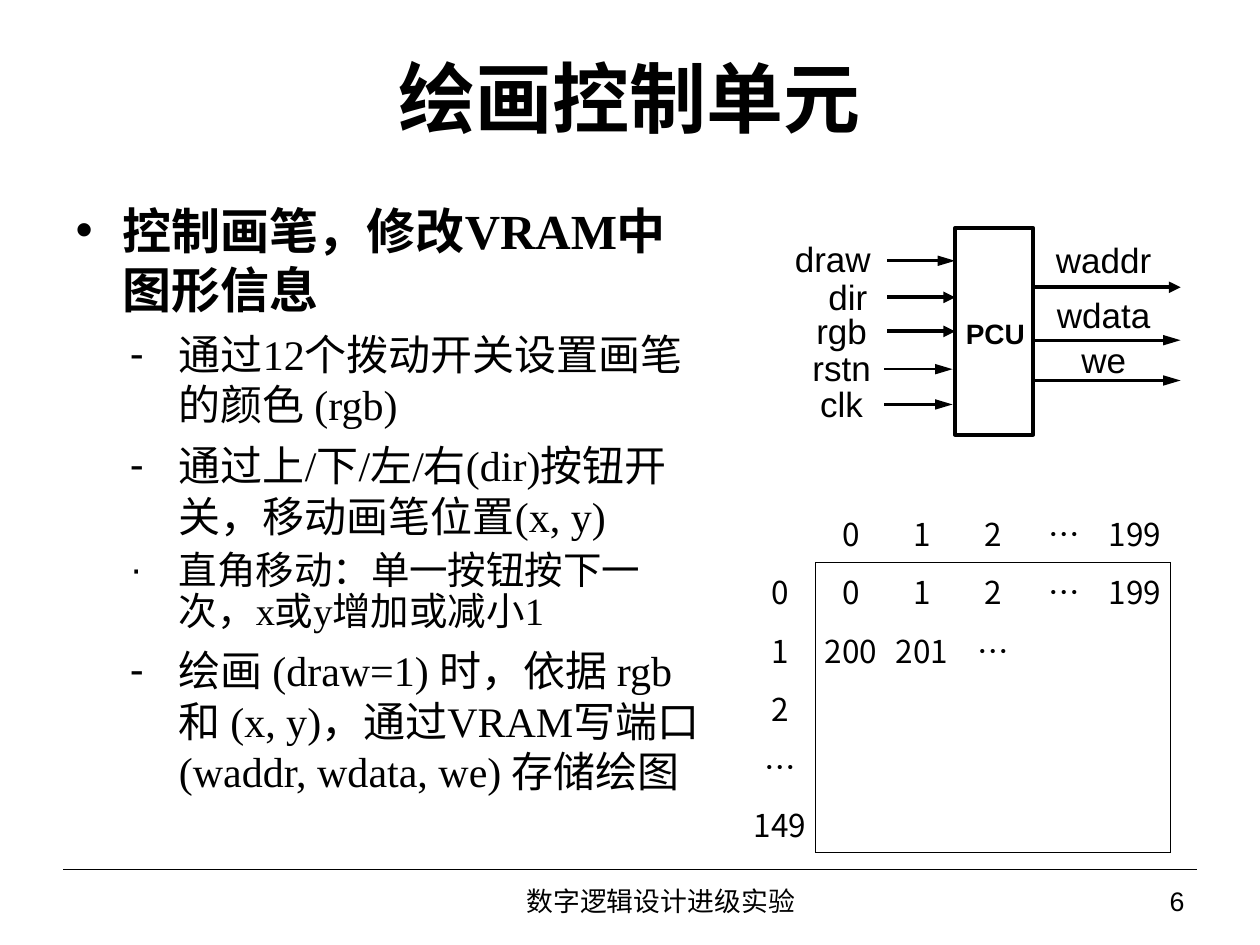
from lxml import etree
from pptx import Presentation
from pptx.dml.color import RGBColor
from pptx.enum.shapes import MSO_CONNECTOR, MSO_SHAPE
from pptx.enum.text import MSO_ANCHOR, MSO_AUTO_SIZE, PP_ALIGN
from pptx.oxml.ns import qn
from pptx.util import Inches, Pt

STRAIGHT = MSO_CONNECTOR.STRAIGHT
RECTANGLE = MSO_SHAPE.RECTANGLE
TOP, MIDDLE = MSO_ANCHOR.TOP, MSO_ANCHOR.MIDDLE
CENTER, LEFT, RIGHT = PP_ALIGN.CENTER, PP_ALIGN.LEFT, PP_ALIGN.RIGHT
NO_AUTOFIT = MSO_AUTO_SIZE.NONE
BLACK = RGBColor(0, 0, 0)
WHITE = RGBColor(255, 255, 255)
SERIF, SANS, CJK, ROBOTO = "Times New Roman", "Arial", "Noto Sans CJK SC", "Roboto"

BULLETS = [
    (0, "•", 1, [("控制画笔，修改VRAM中图形信息", SERIF, 28, True)]),
    (1, "-", 1, [("通过12个拨动开关设置画笔的颜色 (rgb)", SERIF, 24, False)]),
    (1, "-", 1, [("通过上/下/左/右(dir)按钮开关，移动画笔位置(x, y)", SERIF, 24, False)]),
    (1, "·", 0.9, [("直角移动：", ROBOTO, 22, False),
                   ("单一按钮按下一次，x或y增加或减小1", SERIF, 22, False)]),
    (1, "-", 1, [("绘画 (draw=1) 时，依据 rgb 和 (x, y)，通过VRAM写端口"
                  "(waddr, wdata, we) 存储绘图", SERIF, 24, False)]),
]
INDENTS = [(0.37, -0.37), (0.82, -0.39)]

INPUTS = [
    ("draw", 6.61, 2.05, 7.04, 2.07, 1.5),
    ("dir", 6.73, 2.35, 7.04, 2.36, 2.25),
    ("rgb", 6.68, 2.62, 7.04, 2.63, 2.25),
    ("rstn", 6.68, 2.92, 7.02, 2.93, 1.5),
    ("clk", 6.68, 3.2, 7.02, 3.21, 1.5),
]
OUTPUTS = [
    ("waddr", 8.76, 2.06, 2.28, 2.25),
    ("wdata", 8.76, 2.5, 2.7, 1.5),
    ("we", 8.76, 2.85, 3.02, 1.5),
]
MEMORY_ROWS = [
    ["", "0", "1", "2", "…", "199"],
    ["0", "0", "1", "2", "…", "199"],
    ["1", "200", "201", "…", "", ""],
    ["2"],
    ["…"],
    ["149"],
]


def apply_format(target, values):
    for name, value in values.items():
        setattr(target, name, value)


def add_run(paragraph, text, font_name, size, bold=False):
    run = paragraph.add_run()
    run.text = text
    apply_format(run.font, {"name": font_name, "size": Pt(size), "bold": bold})
    run.font.color.rgb = BLACK


def place(shape, box):
    names = ("left", "top", "width", "height")
    apply_format(shape, dict(zip(names, map(Inches, box))))


def add_text(shapes, box, text, size, align=CENTER, bold=False, wrap=False,
             margins=(0, 0), line_spacing=1):
    frame = shapes.add_textbox(*map(Inches, box)).text_frame
    side, edge = map(Inches, margins)
    apply_format(frame, {
        "word_wrap": wrap, "vertical_anchor": MIDDLE,
        "margin_left": side, "margin_right": side,
        "margin_top": edge, "margin_bottom": edge,
    })
    paragraph = frame.paragraphs[0]
    apply_format(paragraph, {"alignment": align, "line_spacing": line_spacing})
    add_run(paragraph, text, SANS, size, bold)


def add_label(shapes, center, middle, text):
    add_text(shapes, (center - 0.38, middle - 0.17, 0.76, 0.34), text, 20)


def add_line(shapes, start, end, width, arrow=False):
    line = shapes.add_connector(STRAIGHT, *map(Inches, start + end))
    line.line.color.rgb = BLACK
    line.line.width = Pt(width)
    if arrow:
        length = "med" if width > 2 else "lg"
        etree.SubElement(line.line._get_or_add_ln(), qn("a:tailEnd"),
                         type="triangle", w="med", len=length)
    etree.SubElement(line._element.spPr, qn("a:effectLst"))
    return line


def fill_title(slide, box):
    title = slide.shapes.title
    place(title, box)
    title.text_frame.auto_size = NO_AUTOFIT
    title.text_frame.vertical_anchor = MIDDLE
    paragraph = title.text_frame.paragraphs[0]
    paragraph.alignment = CENTER
    add_run(paragraph, "绘画控制单元", SERIF, 44, True)


def fill_body(slide, box):
    body = slide.placeholders[1]
    place(body, box)
    frame = body.text_frame
    apply_format(frame, {"auto_size": NO_AUTOFIT, "word_wrap": True, "vertical_anchor": TOP})
    for index, (level, bullet, spacing, runs) in enumerate(BULLETS):
        paragraph = frame.add_paragraph() if index else frame.paragraphs[0]
        apply_format(paragraph, {
            "level": level, "alignment": LEFT, "line_spacing": spacing,
            "space_before": Pt(0), "space_after": Pt(6),
        })
        properties = paragraph._p.get_or_add_pPr()
        properties.set("hangingPunct", "0")
        for name, value in zip(("marL", "indent"), INDENTS[level]):
            properties.set(name, str(Inches(value)))
        color = etree.SubElement(properties, qn("a:buClr"))
        etree.SubElement(color, qn("a:srgbClr"), val=str(BLACK))
        etree.SubElement(properties, qn("a:buChar"), char=bullet)
        for run in runs:
            add_run(paragraph, *run)


def add_footer(slide, left, top, width):
    shapes = slide.shapes
    add_line(shapes, (left, top), (left + width, top), 0.75)
    style = {"wrap": True, "margins": (0.1, 0.05), "line_spacing": 0.9}
    add_text(shapes, (left + 2.33, top + 0.08, 4.83, 0.37), "数字逻辑设计进级实验", 15.3, **style)
    add_text(shapes, (left + width - 1.75, top + 0.08, 1.75, 0.37), "6", 15.3, RIGHT, **style)


def set_border(properties, index, side, visible):
    border = etree.Element(qn("a:ln" + side), w=str(Pt(0.45)))
    if visible:
        fill = etree.SubElement(border, qn("a:solidFill"))
        etree.SubElement(fill, qn("a:srgbClr"), val=str(BLACK))
    else:
        etree.SubElement(border, qn("a:noFill"))
    properties.insert(index, border)


def add_memory_table(slide, box):
    count = len(MEMORY_ROWS)
    table = slide.shapes.add_table(count, count, *map(Inches, box)).table
    apply_format(table, {"first_row": False, "horz_banding": False})
    last = count - 1
    for row in range(count):
        for column in range(count):
            cell = table.cell(row, column)
            apply_format(cell, {
                "vertical_anchor": MIDDLE,
                "margin_left": Inches(0.01), "margin_right": Inches(0.01),
                "margin_top": Inches(0.05), "margin_bottom": Inches(0.05),
            })
            if row and column:
                cell.fill.solid()
                cell.fill.fore_color.rgb = WHITE
            else:
                cell.fill.background()
            borders = {
                "L": row > 0 and column == 1,
                "R": row > 0 and column in (0, last),
                "T": column > 0 and row == 1,
                "B": column > 0 and row in (0, last),
            }
            properties = cell._tc.get_or_add_tcPr()
            for index, (side, visible) in enumerate(borders.items()):
                set_border(properties, index, side, visible)
            text = MEMORY_ROWS[row][column] if column < len(MEMORY_ROWS[row]) else ""
            if text:
                paragraph = cell.text_frame.paragraphs[0]
                paragraph.alignment = CENTER
                add_run(paragraph, text, CJK, 18)


def add_control_unit(slide, box):
    shapes = slide.shapes.add_group_shape().shapes
    left, top, width, height = box
    right, middle = left + width, top + height / 2
    unit = shapes.add_shape(RECTANGLE, *map(Inches, box))
    unit.shadow.inherit = False
    unit.fill.background()
    unit.line.color.rgb = BLACK
    unit.line.width = Pt(2.25)
    add_text(shapes, (left - 0.02, middle - 0.17, width + 0.06, 0.37), "PCU", 16, bold=True)
    for text, center, label_y, start, y, weight in INPUTS:
        add_label(shapes, center, label_y, text)
        line = add_line(shapes, (start, y), (start + 0.54, y), weight, True)
        if abs(y - middle) < 0.01:
            line.end_connect(unit, 1)
    for text, center, label_y, y, weight in OUTPUTS:
        add_label(shapes, center, label_y, text)
        add_line(shapes, (right, y), (right + 1.17, y), weight, True)


def main():
    presentation = Presentation()
    presentation.slide_width = Inches(10)
    presentation.slide_height = Inches(7.5)
    slide = presentation.slides.add_slide(presentation.slide_layouts[1])
    fill_title(slide, (0.5, 0.3, 9, 0.93))
    fill_body(slide, (0.5, 1.54, 5.2, 5.35))
    add_footer(slide, 0.5, 6.9, 9)
    add_memory_table(slide, (5.91, 4, 3.38, 2.77))
    add_control_unit(slide, (7.58, 1.81, 0.62, 1.64))
    presentation.save("out.pptx")


if __name__ == "__main__":
    main()
